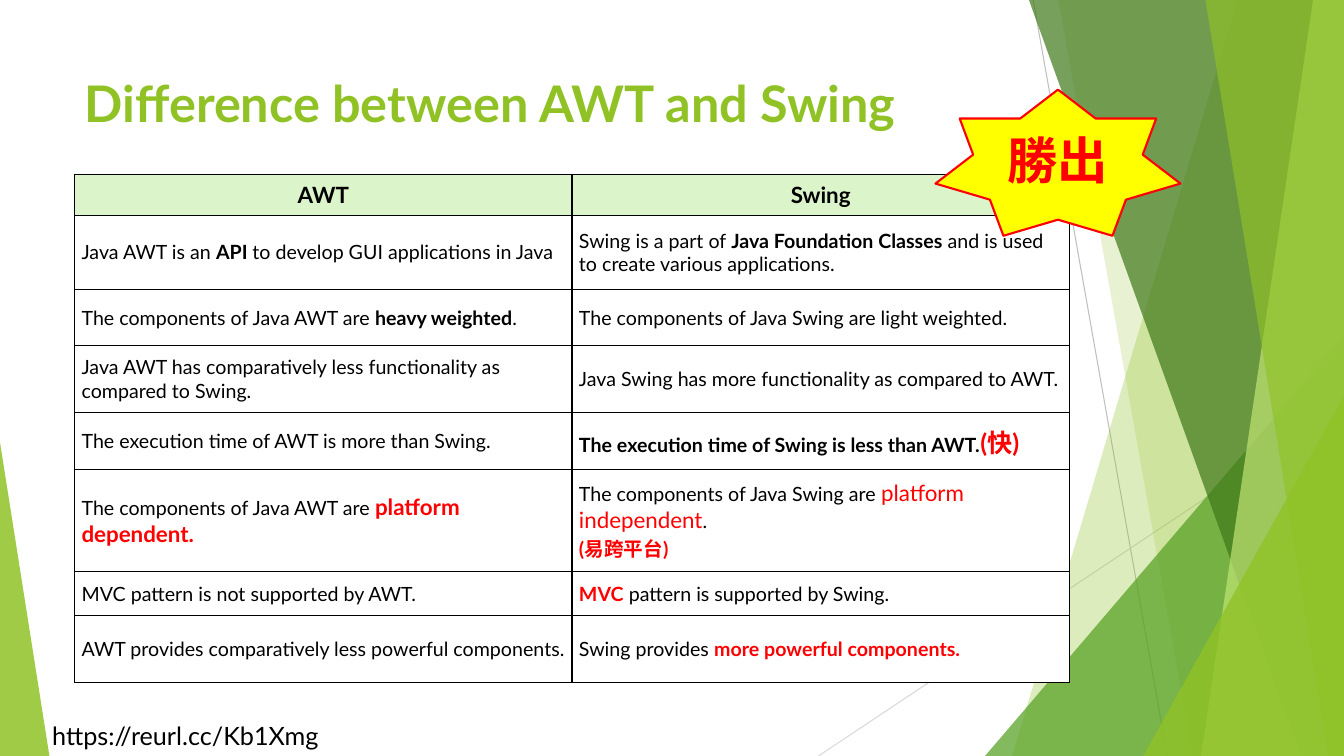
from dataclasses import dataclass
from typing import NamedTuple

from lxml import etree
from pptx import Presentation
from pptx.dml.color import RGBColor
from pptx.enum.shapes import MSO_CONNECTOR, MSO_SHAPE
from pptx.enum.text import MSO_ANCHOR, MSO_AUTO_SIZE, PP_ALIGN
from pptx.oxml.ns import qn
from pptx.util import Pt

TRIANGLE, STAR = MSO_SHAPE.ISOSCELES_TRIANGLE, MSO_SHAPE.STAR_7_POINT
STRAIGHT = MSO_CONNECTOR.STRAIGHT
TOP, MIDDLE = MSO_ANCHOR.TOP, MSO_ANCHOR.MIDDLE
LEFT, CENTER = PP_ALIGN.LEFT, PP_ALIGN.CENTER
NO_AUTOFIT, GROW = MSO_AUTO_SIZE.NONE, MSO_AUTO_SIZE.SHAPE_TO_FIT_TEXT
TITLE_ONLY = 5


class Box(NamedTuple):
    """A rectangle in points."""
    left: float
    top: float
    width: float
    height: float


class Style(NamedTuple):
    """The look of a run of text."""
    size: float
    color: str
    bold: bool = False


@dataclass(frozen=True)
class Theme:
    """Colours and type styles of the slide."""
    font: str = "Lato"
    black: str = "000000"
    white: str = "FFFFFF"
    red: str = "FF0000"
    yellow: str = "FFFF00"
    green: str = "90C226"
    mid_green: str = "54A021"
    dark_green: str = "3F7819"
    pale_green: str = "C0E474"
    header_fill: str = "DBF4CA"
    gray: str = "BFBFBF"
    light_gray: str = "D9D9D9"
    title: Style = Style(36, "90C226", True)
    badge: Style = Style(36, "FF0000", True)
    link: Style = Style(18, "000000")
    header: Style = Style(16, "000000", True)
    body: Style = Style(14, "000000")
    strong: Style = Style(14, "000000", True)
    alert: Style = Style(14, "FF0000", True)
    big_alert: Style = Style(16, "FF0000", True)
    big_red: Style = Style(16, "FF0000")
    speed: Style = Style(18, "FF0000", True)


THEME = Theme()
BODY, STRONG, ALERT = THEME.body, THEME.strong, THEME.alert
SLIDE = Box(0, 0, 960, 540)

ROW_HEIGHTS = (29.3, 53, 40, 48, 40.7, 72.8, 31.4, 48)
ROWS = [
    ([[("AWT", THEME.header)]], [[("Swing", THEME.header)]]),
    ([[("Java AWT is an ", BODY), ("API ", STRONG),
       ("to develop GUI applications in Java", BODY)]],
     [[("Swing is a part of ", BODY), ("Java Foundation Classes", STRONG),
       (" and is used to create various applications.", BODY)]]),
    ([[("The components of Java AWT are ", BODY),
       ("heavy weighted", STRONG), (".", BODY)]],
     [[("The components of Java Swing are light weighted.", BODY)]]),
    ([[("Java AWT has comparatively less functionality as compared to Swing.", BODY)]],
     [[("Java Swing has more functionality as compared to AWT.", BODY)]]),
    ([[("The execution time of AWT is more than Swing.", BODY)]],
     [[("The execution time of Swing is less than AWT.", STRONG),
       ("(快)", THEME.speed)]]),
    ([[("The components of Java AWT are ", BODY),
       ("platform dependent.", THEME.big_alert)]],
     [[("The components of Java Swing are ", BODY),
       ("platform independent", THEME.big_red), (".", BODY)],
      [("(易跨平台)", ALERT)]]),
    ([[("MVC pattern is not supported by AWT.", BODY)]],
     [[("MVC", ALERT), (" pattern is supported by Swing.", BODY)]]),
    ([[("AWT provides comparatively less powerful components.", BODY)]],
     [[("Swing provides ", BODY), ("more powerful components.", ALERT)]]),
]


def points(*lengths):
    """Turn numbers into lengths in points."""
    return [Pt(length) for length in lengths]


def write(text_frame, paragraphs, align=LEFT):
    """Fill a text frame with paragraphs of (text, style) runs."""
    for index, runs in enumerate(paragraphs):
        paragraph = text_frame.add_paragraph() if index else text_frame.paragraphs[0]
        paragraph.alignment = align
        for text, style in runs:
            run = paragraph.add_run()
            run.text = text
            run.font.name = THEME.font
            run.font.size = Pt(style.size)
            run.font.bold = style.bold
            run.font.color.rgb = RGBColor.from_string(style.color)


def paint(shape, color, opacity=100):
    """Give a shape a plain fill without line or shadow."""
    shape.shadow.inherit = False
    shape.line.fill.background()
    shape.fill.solid()
    shape.fill.fore_color.rgb = RGBColor.from_string(color)
    if opacity < 100:
        fill_color = shape.fill._xPr.find(qn("a:solidFill"))[0]
        etree.SubElement(fill_color, qn("a:alpha"), val=str(opacity * 1000))


def add_thin_line(slide, box, start, end, color):
    """Draw a thin line between two points of the box."""
    line = slide.shapes.add_connector(
        STRAIGHT, *points(box.left + start[0], box.top + start[1],
                          box.left + end[0], box.top + end[1]))
    line.line.width = Pt(0.75)
    line.line.color.rgb = RGBColor.from_string(color)
    etree.SubElement(line._element.spPr, qn("a:effectLst"))


def add_facet(slide, box, top_x, bottom_x, color, opacity):
    """Draw a slanted band from the given left edge to the right of the box."""
    right, bottom = box.left + box.width, box.top + box.height
    corners = [points(right, box.top), points(right, bottom),
               points(box.left + bottom_x, bottom)]
    builder = slide.shapes.build_freeform(*points(box.left + top_x, box.top))
    builder.add_line_segments(corners)
    paint(builder.convert_to_shape(), color, opacity)


def add_corner(slide, box, width, height, color, opacity, at_right=True):
    """Draw a right triangle in a lower corner of the box."""
    left = box.left + (box.width - width if at_right else 0)
    triangle = slide.shapes.add_shape(
        TRIANGLE, *points(left, box.top + box.height - height, width, height))
    triangle.adjustments[0] = 1 if at_right else 0
    paint(triangle, color, opacity)


def add_backdrop(slide, box):
    """Draw the green facets around the content."""
    add_thin_line(slide, box, (738, 0), (833.8, 540), THEME.gray)
    add_thin_line(slide, box, (960, 290), (584.6, 540), THEME.light_gray)
    add_facet(slide, box, 884, 723, THEME.green, 30)
    add_facet(slide, box, 756, 852, THEME.green, 20)
    add_corner(slide, box, 256.4, 300, THEME.mid_green, 72)
    add_facet(slide, box, 735, 929.5, THEME.dark_green, 70)
    add_facet(slide, box, 938, 858, THEME.pale_green, 70)
    add_facet(slide, box, 861, 949, THEME.green, 65)
    add_corner(slide, box, 143.4, 257, THEME.green, 80)
    add_corner(slide, box, 35.3, 224, THEME.green, 85, at_right=False)


def add_link(slide, box):
    """Write the web address at the foot of the slide."""
    text_frame = slide.shapes.add_textbox(*points(*box)).text_frame
    text_frame.word_wrap = False
    text_frame.auto_size = GROW
    write(text_frame, [[("https://reurl.cc/Kb1Xmg", THEME.link)]])


def place_title(slide, box):
    """Move and fill the title placeholder."""
    title = slide.shapes.title
    title.left, title.top, title.width, title.height = points(*box)
    title.text_frame.auto_size = NO_AUTOFIT
    title.text_frame.vertical_anchor = TOP
    write(title.text_frame, [[("Difference between AWT and Swing", THEME.title)]])


def add_borders(cell):
    """Put a thin black line on every side of a cell."""
    properties = cell._tc.get_or_add_tcPr()
    for position, side in enumerate(("a:lnL", "a:lnR", "a:lnT", "a:lnB")):
        border = etree.Element(qn(side), w=str(Pt(1)))
        fill = etree.SubElement(border, qn("a:solidFill"))
        etree.SubElement(fill, qn("a:srgbClr"), val=THEME.black)
        properties.insert(position, border)


def add_comparison(slide, box):
    """Build the two-column comparison table."""
    table = slide.shapes.add_table(len(ROWS), 2, *points(*box)).table
    table.horz_banding = False
    for column in table.columns:
        column.width = Pt(box.width / 2)
    for row_index, (row, height) in enumerate(zip(ROWS, ROW_HEIGHTS)):
        is_header = row_index == 0
        table.rows[row_index].height = Pt(height)
        for column_index, paragraphs in enumerate(row):
            cell = table.cell(row_index, column_index)
            cell.vertical_anchor = MIDDLE
            cell.margin_left = cell.margin_right = Pt(5)
            cell.margin_top = cell.margin_bottom = Pt(5 if is_header else 7.2)
            cell.fill.solid()
            cell.fill.fore_color.rgb = RGBColor.from_string(
                THEME.header_fill if is_header else THEME.white)
            add_borders(cell)
            write(cell.text_frame, paragraphs, CENTER if is_header else LEFT)


def add_winner_badge(slide, box):
    """Draw the star that marks the winner."""
    star = slide.shapes.add_shape(STAR, *points(*box))
    paint(star, THEME.yellow)
    star.line.color.rgb = RGBColor.from_string(THEME.red)
    star.line.width = Pt(1.5)
    star.text_frame.vertical_anchor = MIDDLE
    write(star.text_frame, [[("勝出", THEME.badge)]], CENTER)


def main():
    """Build the slide and save it."""
    presentation = Presentation()
    presentation.slide_width, presentation.slide_height = points(SLIDE.width, SLIDE.height)
    slide = presentation.slides.add_slide(presentation.slide_layouts[TITLE_ONLY])
    add_backdrop(slide, SLIDE)
    add_link(slide, Box(30.2, 511, 220, 29))
    place_title(slide, Box(53.3, 48.2, 676.8, 103.7))
    add_comparison(slide, Box(53.3, 124.5, 710.6, sum(ROW_HEIGHTS)))
    add_winner_badge(slide, Box(668.2, 64, 175, 104.4))
    presentation.save("out.pptx")


if __name__ == "__main__":
    main()
